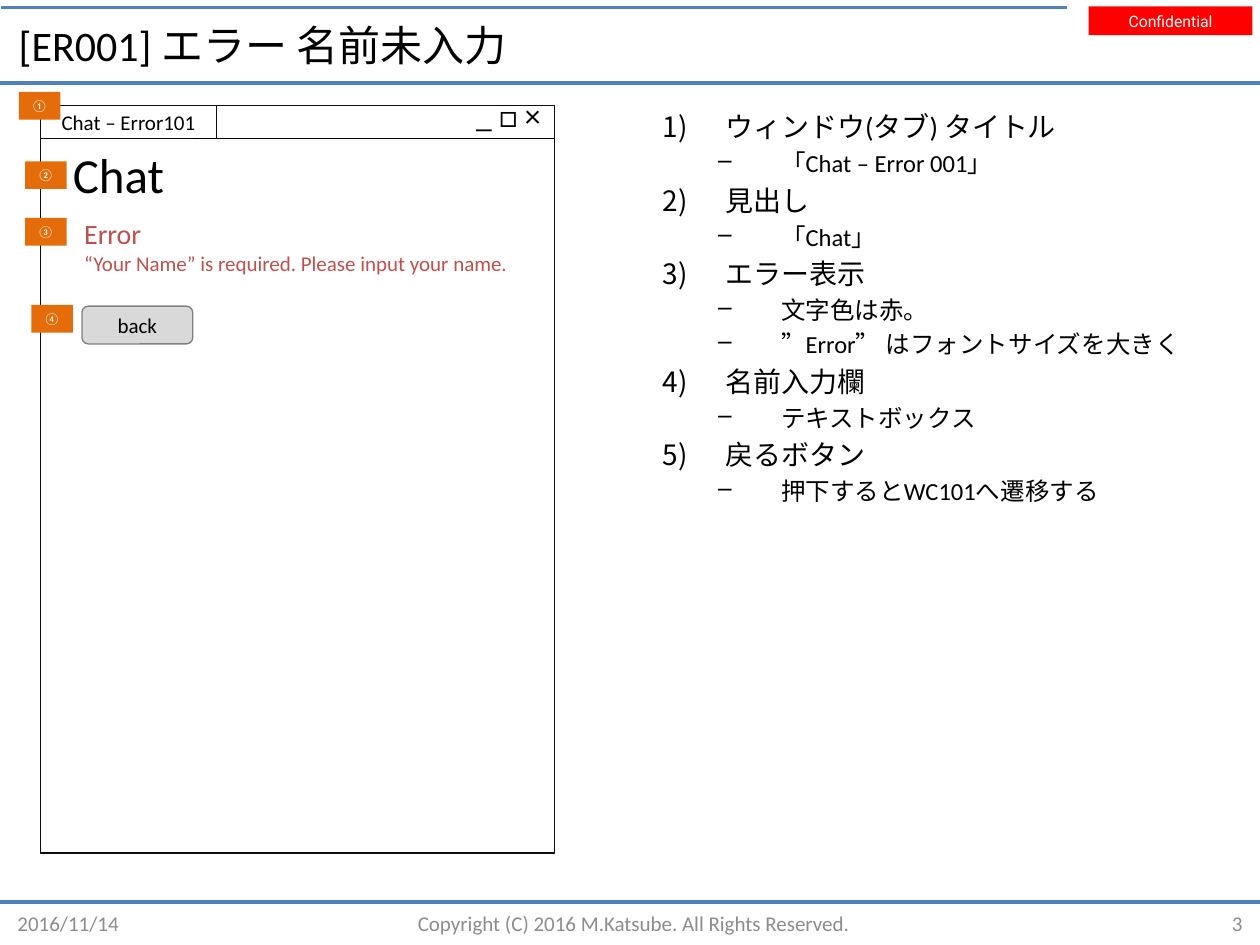
from pptx import Presentation
from pptx.dml.color import RGBColor
from pptx.enum.shapes import MSO_CONNECTOR, MSO_SHAPE
from pptx.enum.text import MSO_ANCHOR, MSO_AUTO_SIZE, PP_ALIGN
from pptx.oxml.ns import qn
from pptx.util import Inches, Pt
from lxml import etree

# Grid of 100 columns by 75 rows; every length below counts grid cells.
COLS, ROWS, CELL = 100, 75, 0.1
BLACK, WHITE, INK = "000000", "FFFFFF", "0D0D0D"
BLUE, RED, ORANGE, ERROR = "4F81BD", "FF0000", "E46C0A", "C0504D"
GREY, BUTTON, BUTTON_EDGE = "8C8C8C", "D9D9D9", "808080"
LEFT, CENTER, RIGHT = PP_ALIGN.LEFT, PP_ALIGN.CENTER, PP_ALIGN.RIGHT

NOTES = [
    ("ウィンドウ(タブ) タイトル", ["「Chat – Error 001」"]),
    ("見出し", ["「Chat」"]),
    ("エラー表示", ["文字色は赤。", "”Error” はフォントサイズを大きく"]),
    ("名前入力欄", ["テキストボックス"]),
    ("戻るボタン", ["押下するとWC101へ遷移する"]),
]


def cells(n):
    """Convert grid cells to a length."""
    return Inches(n * CELL)


def color(value):
    """Turn a hex string into a colour."""
    return RGBColor.from_string(value)


def within(box, dx, dy, w, h):
    """Return a box offset from the corner of another box."""
    return box[0] + dx, box[1] + dy, w, h


def add_run(paragraph, text, size, ink, font="Calibri"):
    """Append formatted text to a paragraph."""
    run = paragraph.add_run()
    run.text = text
    run.font.size, run.font.name = Pt(size), font
    run.font.color.rgb = color(ink)


def write(shape, lines, ink=BLACK, align=LEFT, anchor=MSO_ANCHOR.TOP,
          wrap=True, grow=False, font="Calibri"):
    """Fill a shape with (text, size) lines."""
    frame = shape.text_frame
    frame.word_wrap, frame.vertical_anchor = wrap, anchor
    frame.auto_size = MSO_AUTO_SIZE.SHAPE_TO_FIT_TEXT if grow else MSO_AUTO_SIZE.NONE
    for i, (text, size) in enumerate(lines):
        paragraph = frame.add_paragraph() if i else frame.paragraphs[0]
        paragraph.alignment = align
        add_run(paragraph, text, size, ink, font)


def add_text(slide, box, lines, **style):
    """Add a text box."""
    shape = slide.shapes.add_textbox(*map(cells, box))
    write(shape, lines, **style)
    return shape


def add_box(slide, box, fill, edge=None, kind=MSO_SHAPE.RECTANGLE):
    """Add a flat filled shape, with a thin edge if asked."""
    shape = slide.shapes.add_shape(kind, *map(cells, box))
    shape.shadow.inherit = False
    shape.fill.solid()
    shape.fill.fore_color.rgb = color(fill)
    if edge:
        shape.line.color.rgb, shape.line.width = color(edge), Pt(0.75)
    else:
        shape.line.fill.background()
    return shape


def add_rule(slide, x1, x2, y, ink, width):
    """Add a horizontal line."""
    rule = slide.shapes.add_connector(MSO_CONNECTOR.STRAIGHT, *map(cells, (x1, y, x2, y)))
    rule.line.color.rgb, rule.line.width = color(ink), Pt(width)
    etree.SubElement(rule._element.spPr, qn("a:effectLst"))


def add_header(slide, box, title):
    """Draw the rules, the confidentiality tag and the title."""
    x, y, w, h = box
    add_rule(slide, x, x + w, y + h, BLUE, 2)
    add_rule(slide, x + 0.1, x + 84.7, y + 0.6, BLUE, 2)
    tag = add_box(slide, within(box, 86.4, 0.5, 13, 2.3), RED)
    frame = tag.text_frame
    frame.margin_left = frame.margin_right = Inches(0.04)
    frame.margin_top = frame.margin_bottom = Inches(0.04)
    write(tag, [("Confidential", 9)], ink=WHITE, align=CENTER, grow=True, font="Roboto")
    add_text(slide, within(box, 0.5, 1.2, 81.5, 4.7), [(title, 24)], anchor=MSO_ANCHOR.MIDDLE)


def add_footer(slide, box):
    """Draw the footer rule with date, copyright and page number."""
    add_rule(slide, box[0], box[0] + box[2], box[1], BLUE, 2)
    parts = [(0.4, 14.1, "2016/11/14", LEFT),
             (17.2, 66.2, "Copyright (C) 2016 M.Katsube. All Rights Reserved.", CENTER),
             (86.4, 13.2, "3", RIGHT)]
    for dx, w, text, align in parts:
        add_text(slide, within(box, dx, 0.7, w, 2), [(text, 12)], ink=GREY,
                 align=align, anchor=MSO_ANCHOR.MIDDLE)


def add_window(slide, box):
    """Draw the mock browser window and its numbered markers."""
    x, y, w, _ = box
    tab_h = 2.6
    middle = MSO_ANCHOR.MIDDLE
    add_box(slide, box, WHITE, INK)
    tab = add_box(slide, within(box, 0, 0, 14, tab_h), WHITE, INK)
    write(tab, [("Chat – Error101", 12)], align=CENTER, anchor=middle)
    add_rule(slide, x + 12.1, x + w, y + tab_h, BLACK, 1)
    add_text(slide, within(box, 33.6, -1.3, 7.2, 4), [("_ □ ×", 18)],
             anchor=middle, wrap=False, grow=True)
    add_text(slide, within(box, 1.6, tab_h, 9.4, 5.7), [("Chat", 28)], wrap=False, grow=True)
    add_text(slide, within(box, 2.5, 8.3, 38.3, 5.7),
             [("Error", 16), ("“Your Name” is required. Please input your name.", 12)],
             ink=ERROR, grow=True)
    button = add_box(slide, within(box, 3.3, 15.9, 8.8, 3), BUTTON, BUTTON_EDGE,
                     MSO_SHAPE.ROUNDED_RECTANGLE)
    write(button, [("back", 12)], align=CENTER, anchor=middle)
    spots = [(-1.7, -1.1), (-1.2, 4.4), (-1.2, 8.9), (-0.7, 15.8)]
    for number, (dx, dy) in zip("①②③④", spots):
        marker = add_box(slide, within(box, dx, dy, 3.3, 2.2), ORANGE)
        write(marker, [(number, 7)], ink=WHITE, wrap=False, grow=True)


def format_note(paragraph, level):
    """Set indent, spacing and bullet of a note paragraph."""
    paragraph.level = level
    props = paragraph._p.get_or_add_pPr()
    props.set("marL", str(Inches((0.5, 0.94)[level])))
    props.set("indent", str(-Inches(0.5)))
    spacing = etree.SubElement(props, qn("a:spcBef"))
    etree.SubElement(spacing, qn("a:spcPct")).set("val", "20000")
    if level:
        etree.SubElement(props, qn("a:buChar")).set("char", "–")
    else:
        etree.SubElement(props, qn("a:buAutoNum")).set("type", "arabicParenR")


def add_notes(slide, box, notes):
    """Write the numbered notes with their dashed details."""
    lines = []
    levels = []
    for heading, details in notes:
        lines += [(heading, 16)] + [(detail, 14) for detail in details]
        levels += [0] + [1] * len(details)
    shape = add_text(slide, box, lines)
    for paragraph, level in zip(shape.text_frame.paragraphs, levels):
        format_note(paragraph, level)


def main():
    """Build and save the slide."""
    deck = Presentation()
    deck.slide_width, deck.slide_height = cells(COLS), cells(ROWS)
    slide = deck.slides.add_slide(deck.slide_layouts[6])
    add_header(slide, (0, 0, COLS, 6.6), "[ER001] エラー 名前未入力")
    add_notes(slide, (51.6, 8.2, 47.2, 60.8), NOTES)
    add_footer(slide, (0, 71.6, COLS, 3.4))
    add_window(slide, (3.2, 8.4, 40.8, 59.3))
    deck.save("out.pptx")


main()
